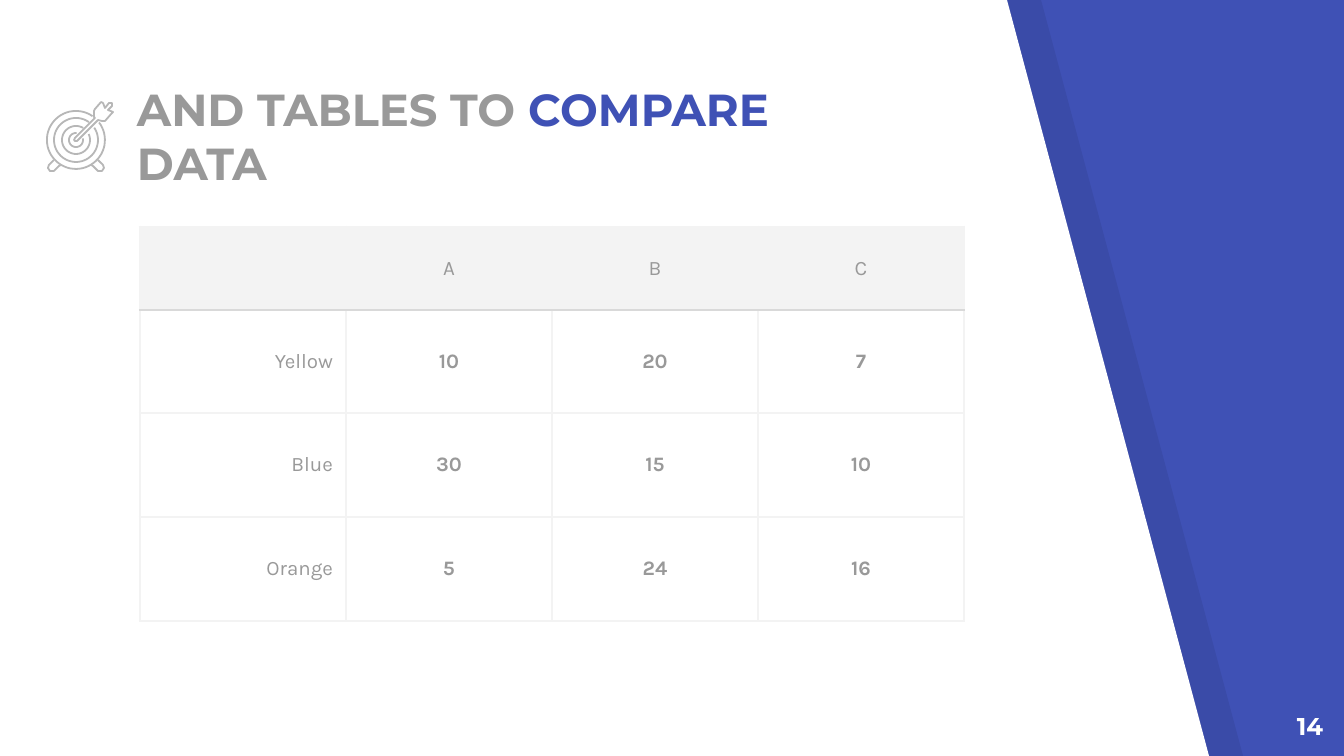
"""Builds a slide with a comparison table, a target icon and a slanted side band."""
from dataclasses import dataclass
from math import cos, radians, sin

from lxml import etree
from pptx import Presentation
from pptx.dml.color import RGBColor
from pptx.enum.text import MSO_ANCHOR, MSO_AUTO_SIZE, PP_ALIGN
from pptx.oxml.ns import qn
from pptx.util import Emu, Pt

LEFT, CENTER, RIGHT = PP_ALIGN.LEFT, PP_ALIGN.CENTER, PP_ALIGN.RIGHT
TOP, MIDDLE, BOTTOM = MSO_ANCHOR.TOP, MSO_ANCHOR.MIDDLE, MSO_ANCHOR.BOTTOM
NO_AUTOFIT = MSO_AUTO_SIZE.NONE
TITLE_ONLY = 5
WIDTH, HEIGHT = 1344, 756
SCALE = 9144000 / WIDTH


@dataclass(frozen=True)
class Theme:
    blue: str = "3F51B5"
    gray: str = "999999"
    white: str = "FFFFFF"
    shade: str = "000000"
    pale: str = "F3F3F3"
    rule: str = "D9D9D9"
    icon: str = "B7B7B7"
    heading: str = "Montserrat"
    body: str = "Karla"
    title_size: int = 24
    number_size: int = 13
    table_size: int = 11
    border: float = 1.5
    icon_line: float = 0.96
    inset: int = 13


def px(n):
    return Emu(round(n * SCALE))


def rgb(value):
    return RGBColor.from_string(value)


def arc(cx, cy, radius, start, end, step=6):
    angles = [*range(start, end, step), end]
    return [(cx + radius * cos(radians(a)), cy + radius * sin(radians(a))) for a in angles]


class Deck:
    def __init__(self, theme):
        self.theme = theme
        self.prs = Presentation()
        self.prs.slide_width, self.prs.slide_height = px(WIDTH), px(HEIGHT)
        self.s = self.prs.slides.add_slide(self.prs.slide_layouts[TITLE_ONLY])

    def background(self, color):
        fill = self.s.background.fill
        fill.solid()
        fill.fore_color.rgb = rgb(color)

    def style(self, r, font, size, color, bold=False):
        r.font.name, r.font.size, r.font.bold = font, Pt(size), bold
        r.font.color.rgb = rgb(color)

    def frame(self, tf, anchor):
        tf.word_wrap, tf.auto_size, tf.vertical_anchor = True, NO_AUTOFIT, anchor
        tf.margin_left = tf.margin_right = px(self.theme.inset)
        tf.margin_top = tf.margin_bottom = px(self.theme.inset)

    def title(self, x, y, w, h, parts):
        sp = self.s.shapes.title
        self.s.shapes.element.append(sp.element)
        sp.left, sp.top, sp.width, sp.height = map(px, (x, y, w, h))
        self.frame(sp.text_frame, BOTTOM)
        p = sp.text_frame.paragraphs[0]
        p.alignment = LEFT
        for text, color in parts:
            r = p.add_run()
            r.text = text
            self.style(r, self.theme.heading, self.theme.title_size, color, True)

    def number(self, x, y, w, h, text):
        tf = self.s.shapes.add_textbox(*map(px, (x, y, w, h))).text_frame
        self.frame(tf, TOP)
        tf.text = text
        p = tf.paragraphs[0]
        p.alignment = RIGHT
        self.style(p.runs[0], self.theme.heading, self.theme.number_size, self.theme.white, True)

    def outline(self, shapes, points, closed):
        points = [(px(x), px(y)) for x, y in points]
        builder = shapes.build_freeform(*points[0], scale=1.0)
        builder.add_line_segments(points[1:], close=closed)
        sp = builder.convert_to_shape()
        sp.shadow.inherit = False
        return sp

    def area(self, points, color, alpha=100):
        sp = self.outline(self.s.shapes, points, True)
        sp.fill.solid()
        sp.fill.fore_color.rgb = rgb(color)
        sp.line.fill.background()
        if alpha < 100:
            clr = sp.element.spPr.find(qn("a:solidFill"))[0]
            etree.SubElement(clr, qn("a:alpha"), val=str(alpha * 1000))

    def stroke(self, shapes, points, closed=False):
        sp = self.outline(shapes, points, closed)
        sp.fill.background()
        sp.line.color.rgb = rgb(self.theme.icon)
        sp.line.width = Pt(self.theme.icon_line)

    def target(self, cx, cy):
        shapes = self.s.shapes.add_group_shape().shapes
        rings = ((29, -37, 305), (22, -34, 306), (7, -13, 276), (14, -25, 301))
        for radius, start, end in rings:
            self.stroke(shapes, arc(cx, cy, radius, start, end))
        foot = ((22, 20), (27, 25), (28, 28), (26, 31), (22, 31), (17, 26), (15, 25))
        for side in (-1, 1):
            self.stroke(shapes, [(cx + side * dx, cy + dy) for dx, dy in foot])
        dart = ((37, -28), (32, -30), (36, -34), (36, -37), (33, -37), (29, -32),
                (27, -37), (25, -38), (19, -31), (18, -29), (18, -23), (19, -22),
                (-1, -2), (-2, 0), (-1, 1), (1, 1), (22, -20), (26, -19),
                (29, -19), (36, -27))
        self.stroke(shapes, [(cx + dx, cy + dy) for dx, dy in dart], True)

    def borders(self, cell, colors):
        tc_pr = cell._tc.get_or_add_tcPr()
        for side, color in zip("LRTB", colors):
            ln = etree.SubElement(tc_pr, qn(f"a:ln{side}"), w=str(Pt(self.theme.border)))
            fill = etree.SubElement(ln, qn("a:solidFill"))
            etree.SubElement(fill, qn("a:srgbClr"), val=color)

    def table(self, x, y, col_width, row_heights, rows):
        t = self.theme
        box = (x, y, col_width * len(rows[0]), sum(row_heights))
        table = self.s.shapes.add_table(len(rows), len(rows[0]), *map(px, box)).table
        table.first_row = table.horz_banding = False
        for col in table.columns:
            col.width = px(col_width)
        for i, (height, values) in enumerate(zip(row_heights, rows)):
            table.rows[i].height = px(height)
            top, bottom = t.rule if i == 1 else t.pale, t.rule if i == 0 else t.pale
            for j, value in enumerate(values):
                cell = table.cell(i, j)
                self.borders(cell, (t.pale, t.pale, top, bottom))
                if i == 0:
                    cell.fill.solid()
                    cell.fill.fore_color.rgb = rgb(t.pale)
                else:
                    cell.fill.background()
                cell.vertical_anchor = MIDDLE
                cell.margin_left = cell.margin_right = px(t.inset)
                cell.text = value
                p = cell.text_frame.paragraphs[0]
                p.alignment = RIGHT if i and j == 0 else CENTER
                for r in p.runs:
                    self.style(r, t.body, t.table_size, t.gray, i > 0 and j > 0)


def main():
    theme = Theme()
    deck = Deck(theme)
    deck.background(theme.blue)
    for x, color, alpha in ((34, theme.shade, 7), (0, theme.white, 100)):
        corners = ((x, 0), (x, HEIGHT), (x + 1209, HEIGHT), (x + 1007, 0))
        deck.area(corners, color, alpha)
    deck.title(124, 142, 706, 60, (
        ("AND TABLES TO ", theme.gray), ("COMPARE", theme.blue), (" DATA", theme.gray)))
    deck.table(140, 227, 206, (83, 103, 104, 104), (
        ("", "A", "B", "C"),
        ("Yellow", "10", "20", "7"),
        ("Blue", "30", "15", "10"),
        ("Orange", "5", "24", "16")))
    deck.target(76, 140)
    deck.number(1255, 698, 81, 58, "14")
    deck.prs.save("out.pptx")


if __name__ == "__main__":
    main()
